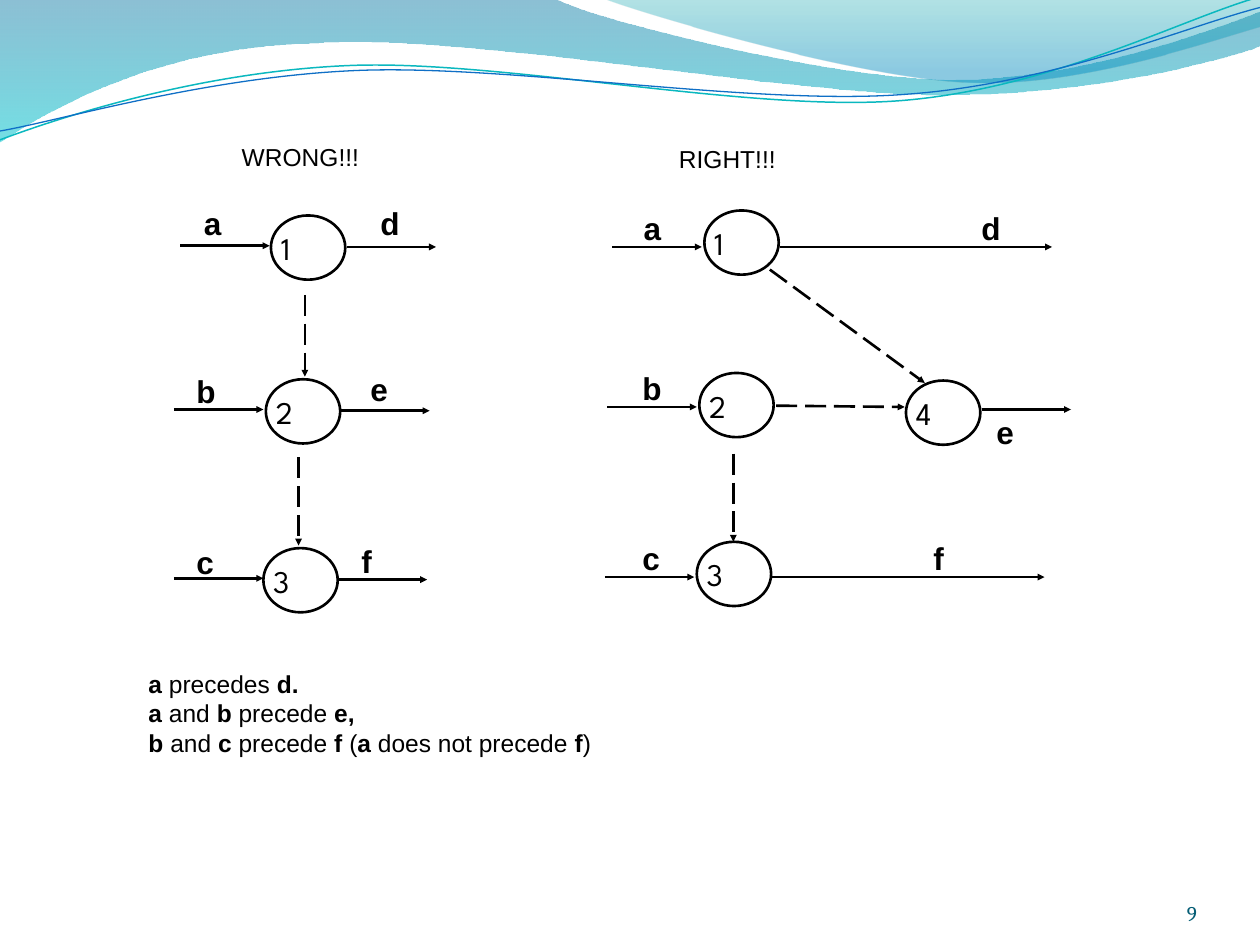
import math

import pptx
import pptx.util
import pptx.dml.color
import pptx.enum.dml
import pptx.enum.shapes
import pptx.enum.text
import pptx.oxml.ns
from lxml import etree

Inches = pptx.util.Inches
Pt = pptx.util.Pt
qn = pptx.oxml.ns.qn

BLACK = "000000"


def color(value):
    return pptx.dml.color.RGBColor.from_string(value)


def turn(point, center, degrees):
    angle = math.radians(degrees)
    x, y = point[0] - center[0], point[1] - center[1]
    return (center[0] + x * math.cos(angle) - y * math.sin(angle),
            center[1] + x * math.sin(angle) + y * math.cos(angle))


class Diagram:
    font = "Arial"
    node_font = "League Spartan"
    line_width = 1.5
    node_size = (0.59, 0.51)
    ribbon_tilt = 2.7

    def __init__(self, page):
        self.page = page

    def outline(self, start, segments, closed):
        points = [tuple(map(Inches, point)) for point in
                  [start, *(point for segment in segments for point in segment)]]
        builder = self.page.shapes.build_freeform(*points[0])
        builder.add_line_segments(points[1:], close=closed)
        shape = builder.convert_to_shape()
        shape.shadow.inherit = False
        steps = iter(list(shape._element.iter(qn("a:lnTo"))))
        for segment in segments:
            first, *others = [next(steps) for _ in segment]
            if others:
                curve = etree.Element(qn("a:cubicBezTo"))
                first.addprevious(curve)
                for step in (first, *others):
                    curve.append(step[0])
                    step.getparent().remove(step)
        return shape

    def wave(self, start, segments, stops):
        shape = self.outline(start, segments, True)
        shape.line.fill.background()
        shape.fill.gradient()
        shape.fill.gradient_angle = 270
        for stop, (position, value, _) in zip(shape.fill.gradient_stops, stops):
            stop.position = position
            stop.color.rgb = color(value)
        tints = shape._element.spPr.iter(qn("a:srgbClr"))
        for tint, (_, _, opacity) in zip(tints, stops):
            etree.SubElement(tint, qn("a:alpha"), val=str(opacity * 1000))

    def ribbon(self, center, start, segments, value, width):
        level = [[turn(point, center, self.ribbon_tilt) for point in segment]
                 for segment in segments]
        shape = self.outline(turn(start, center, self.ribbon_tilt), level, False)
        shape.rotation = 360 - self.ribbon_tilt
        shape.fill.background()
        shape.line.color.rgb = color(value)
        shape.line.width = Pt(width)

    def text(self, left, top, width, height, paragraphs, size, font=None, value=BLACK):
        box = self.page.shapes.add_textbox(*map(Inches, (left, top, width, height)))
        frame = box.text_frame
        frame.word_wrap = True
        for index, spans in enumerate(paragraphs):
            para = frame.add_paragraph() if index else frame.paragraphs[0]
            for words, bold in spans:
                span = para.add_run()
                span.text = words
                span.font.size = Pt(size)
                span.font.name = font or self.font
                span.font.bold = bold
                span.font.color.rgb = color(value)
        return frame

    def label(self, words, left, top):
        self.text(left, top, 0.49, 0.46, [[(words, True)]], 18)

    def node(self, number, left, top):
        shape = self.page.shapes.add_shape(
            pptx.enum.shapes.MSO_SHAPE.OVAL,
            Inches(left), Inches(top), *map(Inches, self.node_size))
        shape.shadow.inherit = False
        shape.fill.background()
        shape.line.color.rgb = color(BLACK)
        shape.line.width = Pt(self.line_width)
        self.text(left - 0.02, top + 0.06, 0.62, 0.5, [[(number, False)]], 18, self.node_font)

    def arrow(self, x1, y1, x2, y2, dashed=False):
        line = self.page.shapes.add_connector(
            pptx.enum.shapes.MSO_CONNECTOR.STRAIGHT, *map(Inches, (x1, y1, x2, y2)))
        line.line.color.rgb = color(BLACK)
        line.line.width = Pt(self.line_width)
        if dashed:
            line.line.dash_style = pptx.enum.dml.MSO_LINE.LONG_DASH
        shape_style = line._element.spPr
        etree.SubElement(shape_style.find(qn("a:ln")), qn("a:tailEnd"),
                         type="triangle", w="sm", len="sm")
        etree.SubElement(shape_style, qn("a:effectLst"))

    def page_number(self, words):
        frame = self.text(8.67, 6.95, 0.83, 0.4, [[(words, False)]], 12, "Cambria", "045D75")
        frame.margin_left = frame.margin_right = frame.margin_top = frame.margin_bottom = 0
        frame.vertical_anchor = pptx.enum.text.MSO_ANCHOR.BOTTOM
        frame.paragraphs[0].alignment = pptx.enum.text.PP_ALIGN.RIGHT


def draw_header(diagram):
    diagram.wave(
        (0, 0),
        [[(4.4, -0.01)],
         [(4.76, 0.17), (6.64, 0.63), (7.58, 0.63)],
         [(8.53, 0.63), (9.58, 0.26), (10, 0.09)],
         [(10.01, 0.36)],
         [(9.83, 0.44), (8.7, 0.76), (7.46, 0.75)],
         [(6.22, 0.75), (3.82, 0.28), (2.57, 0.34)],
         [(1.29, 0.36), (0.46, 0.83), (-0.01, 1.13)]],
        [(0, "0074A1", 45), (1, "00C6CF", 55)])
    diagram.wave(
        (4.79, -0.01),
        [[(5.09, 0.11), (6.82, 0.62), (7.69, 0.65)],
         [(8.56, 0.69), (9.61, 0.32), (10, 0.21)],
         [(10, 0)]],
        [(0, "00A1A9", 30), (0.8, "008BBF", 45)])
    diagram.ribbon(
        (4.99, 0.57), (0, 1.11),
        [[(0.48, 0.93), (1.58, 0.57), (2.77, 0.52)],
         [(3.95, 0.47), (5.93, 0.89), (7.13, 0.8)],
         [(8.33, 0.71), (9.38, 0.15), (9.98, -0.02)]], "0AB8BF", 0.85)
    diagram.ribbon(
        (5, 0.59), (0, 1.04),
        [[(0.47, 0.96), (1.64, 0.61), (2.83, 0.56)],
         [(4.03, 0.51), (5.97, 0.84), (7.17, 0.75)],
         [(8.36, 0.67), (9.41, 0.21), (10, 0.06)]], "0F6FC6", 0.75)


def draw_networks(diagram):
    nodes = [("1", 2.15, 1.71), ("2", 2.11, 3.01), ("3", 2.09, 4.35),
             ("1", 5.59, 1.67), ("2", 5.55, 2.96), ("3", 5.53, 4.3), ("4", 7.19, 3.02)]
    short, long = 0.71, 2.16
    activities = [(1.43, 1.95, short), (2.75, 1.96, short), (1.38, 3.25, short),
                  (2.7, 3.26, short), (1.38, 4.59, short), (2.68, 4.6, short),
                  (4.86, 1.96, short), (6.19, 1.96, long), (4.82, 3.23, short),
                  (7.79, 3.25, short), (4.8, 4.58, short), (6.13, 4.58, long)]
    dummies = [(2.42, 2.34, 2.42, 2.99), (2.37, 3.63, 2.37, 4.33),
               (6.16, 3.22, 7.18, 3.23), (5.82, 3.6, 5.82, 4.3), (6.11, 2.14, 7.34, 3.04)]
    labels = [("a", 1.52, 1.57), ("d", 2.92, 1.57), ("b", 1.46, 2.9),
              ("e", 2.84, 2.89), ("c", 1.46, 4.26), ("f", 2.77, 4.25),
              ("a", 5.01, 1.61), ("d", 7.69, 1.61), ("b", 5, 2.88),
              ("e", 7.81, 3.23), ("f", 7.31, 4.23), ("c", 5, 4.23)]
    for node in nodes:
        diagram.node(*node)
    for left, top, length in activities:
        diagram.arrow(left, top, left + length, top)
    for dummy in dummies:
        diagram.arrow(*dummy, dashed=True)
    for label in labels:
        diagram.label(*label)


def main():
    deck = pptx.Presentation()
    deck.slide_width, deck.slide_height = Inches(10), Inches(7.5)
    diagram = Diagram(deck.slides.add_slide(deck.slide_layouts[6]))
    draw_header(diagram)
    diagram.page_number("9")
    draw_networks(diagram)
    diagram.text(1.82, 1.08, 1.21, 0.39, [[("WRONG!!!", False)]], 14)
    diagram.text(5.29, 1.09, 1.17, 0.34, [[("RIGHT!!!", False)]], 14)
    rules = [
        [("a ", True), ("precedes ", False), ("d.", True)],
        [("a", True), (" and ", False), ("b ", True), ("precede ", False), ("e,", True)],
        [("b ", True), ("and ", False), ("c ", True), ("precede ", False), ("f ", True),
         ("(", False), ("a", True), (" does not precede ", False), ("f", True), (")", False)],
    ]
    diagram.text(1.08, 5.26, 6.88, 0.41, rules, 14)
    deck.save("out.pptx")


if __name__ == "__main__":
    main()
